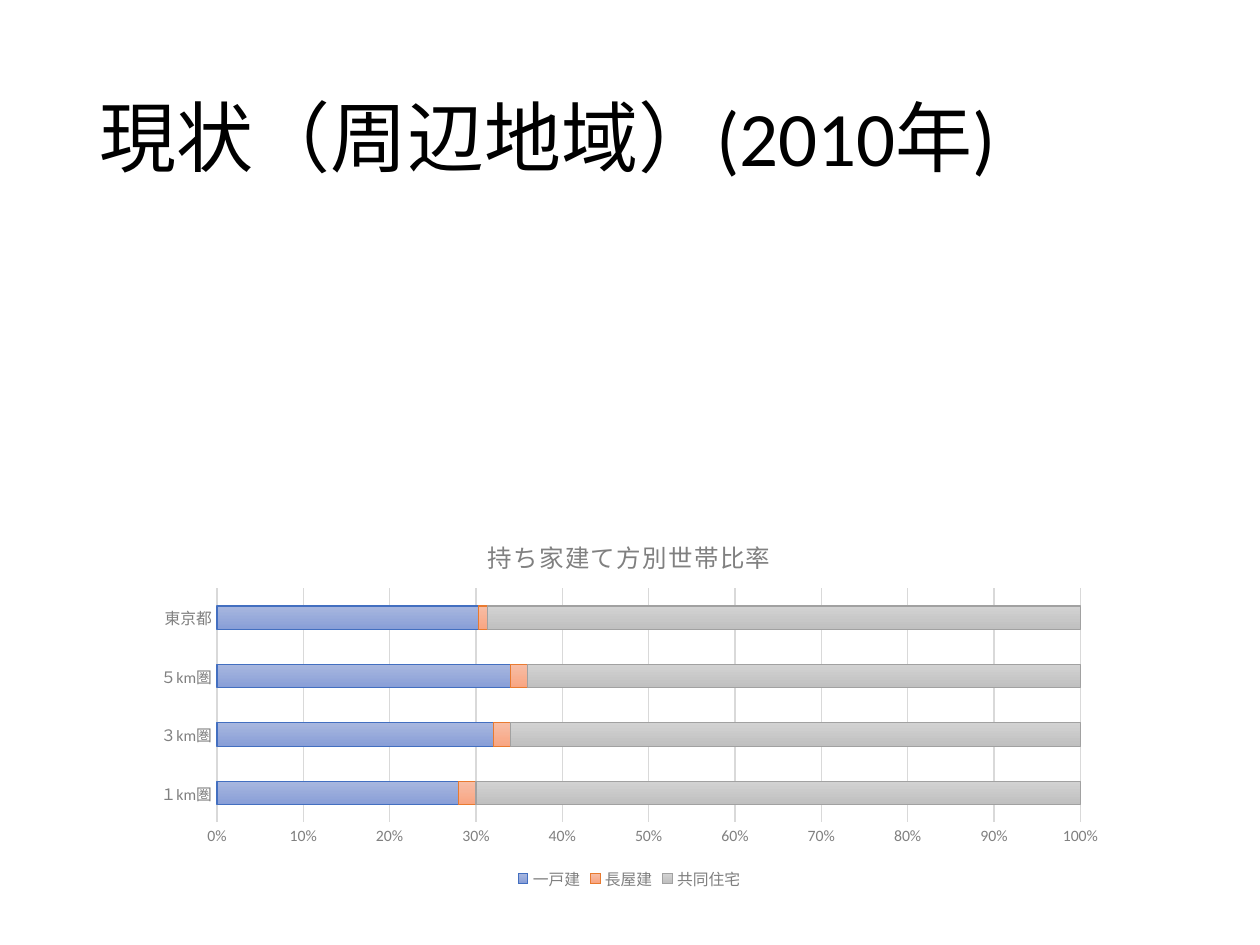
"""Build a slide with a stacked bar chart of owned homes by building type."""
from pptx import Presentation
from pptx.chart.data import CategoryChartData
from pptx.dml.color import RGBColor
from pptx.enum.chart import XL_CHART_TYPE, XL_LEGEND_POSITION, XL_TICK_MARK
from pptx.enum.text import MSO_ANCHOR, PP_ALIGN
from pptx.util import Pt

TITLE = "現状（周辺地域）(2010年)"
CHART_TITLE = "持ち家建て方別世帯比率"
AREAS = ["１km圏", "３km圏", "５km圏", "東京都"]
HOMES = {
    "一戸建": [28, 32, 34, 30],
    "長屋建": [2, 2, 2, 1],
    "共同住宅": [70, 66, 64, 68],
}
COLORS = {"text": "000000", "label": "808080", "grid": "D9D9D9"}
BARS = {
    "一戸建": ("A8B7DF", "889ED7", "436FC0"),
    "長屋建": ("F7BDA5", "F8A582", "E87A30"),
    "共同住宅": ("D2D2D2", "C0C0C0", "A1A1A1"),
}
TITLE_BOX = {"left": 49.68, "top": 28.8, "width": 620.64, "height": 104.4}
CHART_BOX = (80.64, 295.2, 558, 216)


def set_font(font, size, color):
    for name, value in {"name": "Calibri", "size": Pt(size), "bold": False}.items():
        setattr(font, name, value)
    font.color.rgb = RGBColor.from_string(color)


def set_line(line, color):
    line.width = Pt(0.75)
    line.color.rgb = RGBColor.from_string(color)


def add_title(s):
    sp = s.shapes.title
    for name, value in TITLE_BOX.items():
        setattr(sp, name, Pt(value))
    tf = sp.text_frame
    tf.text = TITLE
    tf.vertical_anchor = MSO_ANCHOR.MIDDLE
    p = tf.paragraphs[0]
    p.alignment, p.line_spacing = PP_ALIGN.LEFT, 0.9
    set_font(p.runs[0].font, 44, COLORS["text"])


def add_bars(s):
    data = CategoryChartData()
    data.categories = AREAS
    for name, values in HOMES.items():
        data.add_series(name, values)
    chart = s.shapes.add_chart(
        XL_CHART_TYPE.BAR_STACKED_100, *map(Pt, CHART_BOX), data).chart
    set_font(chart.font, 10, COLORS["text"])

    p = chart.chart_title.text_frame.paragraphs[0]
    r = p.add_run()
    r.text = CHART_TITLE
    set_font(r.font, 14, COLORS["label"])
    r._r.get_or_add_rPr().set("spc", "50")
    chart.chart_title.include_in_layout = False

    chart.has_legend = True
    chart.legend.position = XL_LEGEND_POSITION.BOTTOM
    chart.legend.include_in_layout = False
    set_font(chart.legend.font, 9, COLORS["label"])

    for axis in (chart.category_axis, chart.value_axis):
        axis.major_tick_mark = axis.minor_tick_mark = XL_TICK_MARK.NONE
        set_font(axis.tick_labels.font, 9, COLORS["label"])
    set_line(chart.category_axis.format.line, COLORS["grid"])
    axis = chart.value_axis
    axis.format.line.fill.background()
    axis.major_unit = 0.1
    axis.tick_labels.number_format = "0%"
    axis.tick_labels.number_format_is_linked = False
    set_line(axis.major_gridlines.format.line, COLORS["grid"])

    plot = chart.plots[0]
    plot.gap_width, plot.overlap, plot.vary_by_categories = 150, 100, False
    for series in plot.series:
        *shades, edge = BARS[series.name]
        fill = series.format.fill
        fill.gradient()
        fill.gradient_angle = 270
        for stop, shade in zip(fill.gradient_stops, shades):
            stop.color.rgb = RGBColor.from_string(shade)
        set_line(series.format.line, edge)


def main():
    prs = Presentation()
    prs.slide_width, prs.slide_height = Pt(720), Pt(540)
    s = prs.slides.add_slide(prs.slide_layouts[5])
    add_title(s)
    add_bars(s)
    prs.save("out.pptx")


if __name__ == "__main__":
    main()
